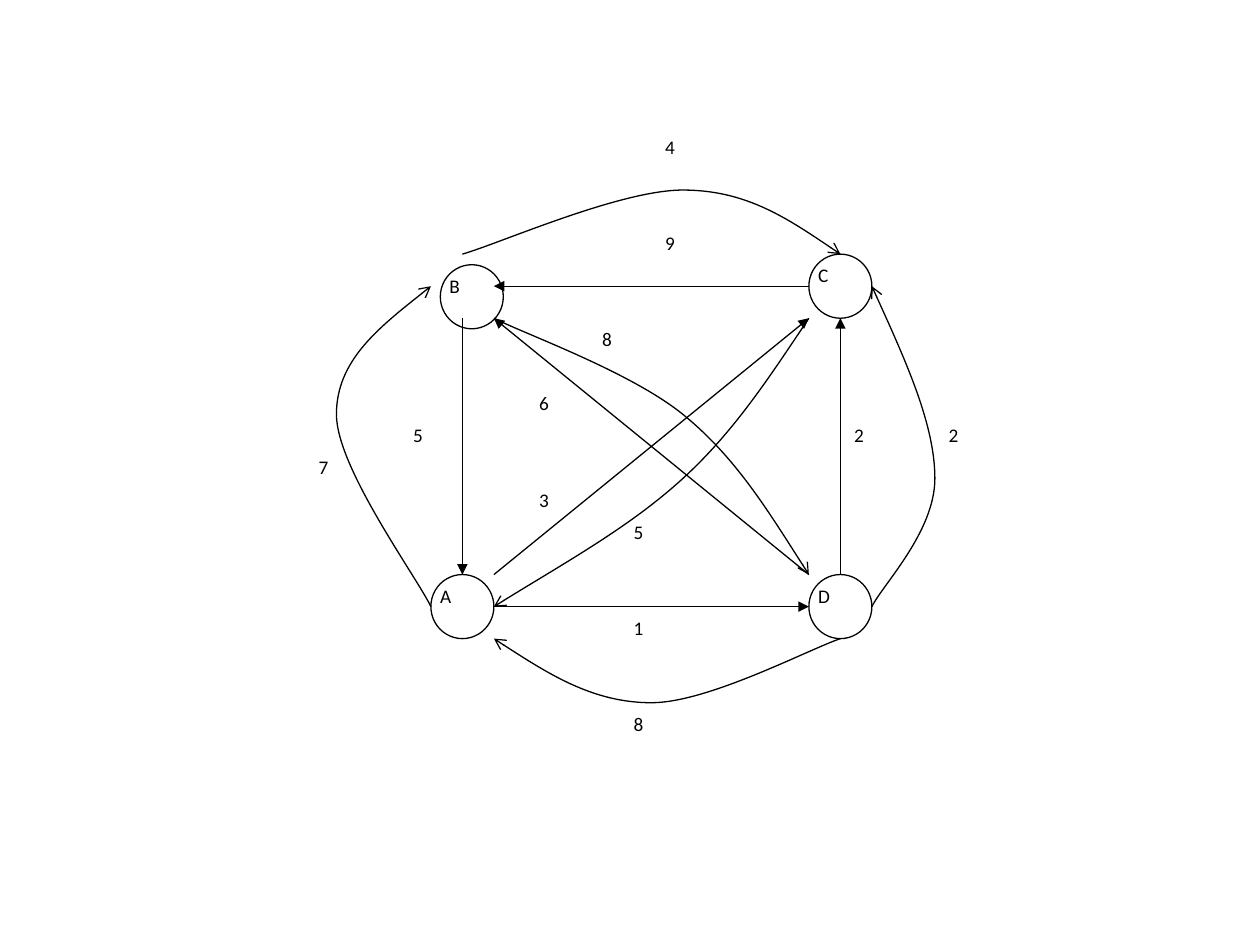
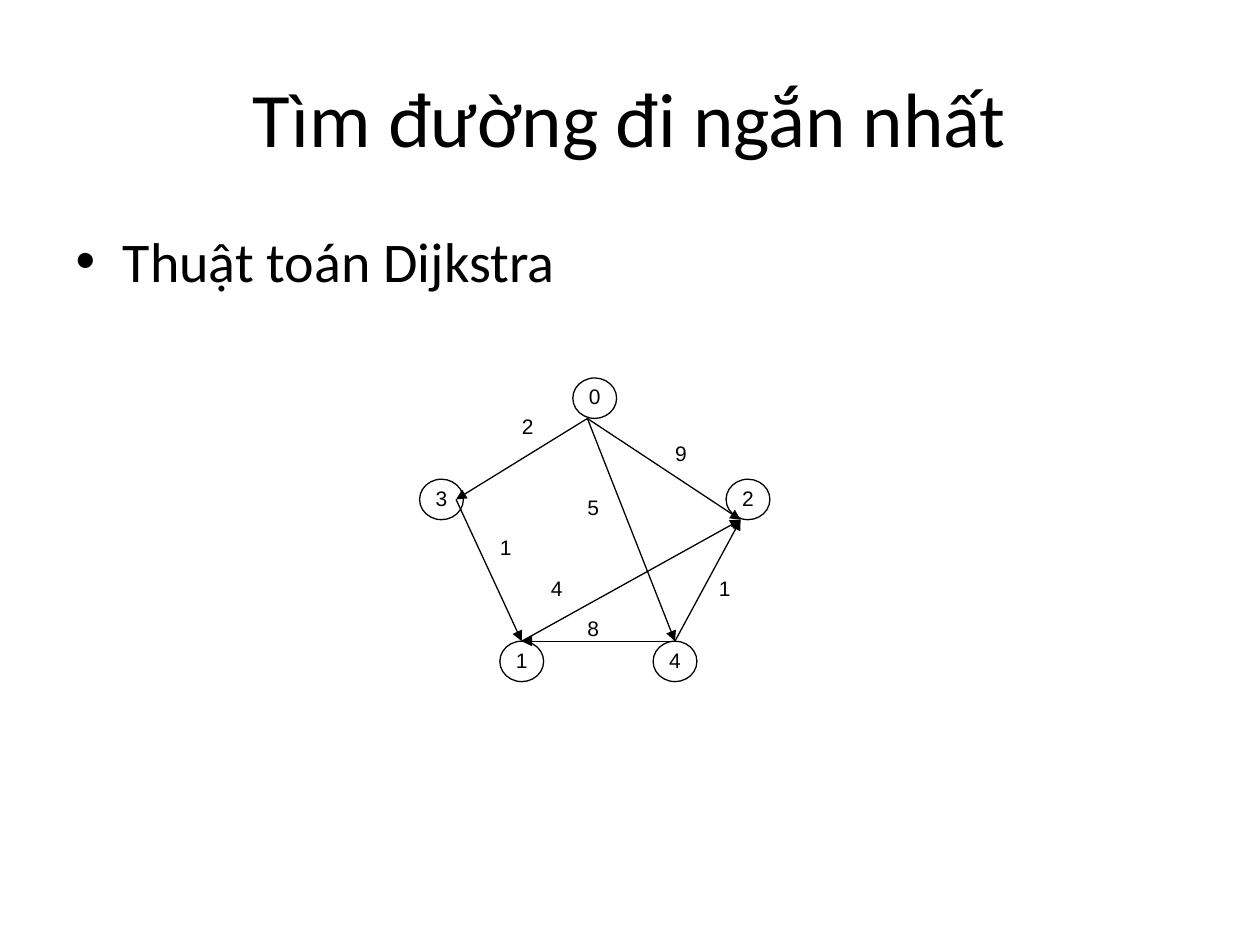
from lxml import etree
from pptx import Presentation
from pptx.dml.color import RGBColor
from pptx.enum import shapes, text
from pptx.oxml import ns
from pptx.util import Pt

COLORS = {"ink": "000000", "paper": "FFFFFF"}
LINE_WIDTH = 0.75

TITLE = "Tìm đường đi ngắn nhất"
BULLETS = ["Thuật toán Dijkstra"]

# All graph places below are (column, row) steps on the grid of that graph.
FOUR_NODE_GRAPH = {
    "origin": (174.24, 72), "step": (18, 18.31),
    "font": ("Calibri", 11), "space_after": 10,
    "node_size": (2, 2), "node_align": text.PP_ALIGN.LEFT,
    "label_size": (3, 2), "label_insets": (0, 0),
    "nodes": [("A", 4, 14), ("B", 4.3, 4.33), ("C", 16, 4), ("D", 16, 14)],
    "arrows": [
        ((16, 5), (6, 5)),
        ((5, 6), (5, 14)),
        ((6, 15), (16, 15)),
        ((17, 14), (17, 6)),
        ((6, 14), (16, 6)),
        ((16, 14), (6, 6)),
    ],
    "curves": [
        [(5, 4), (6.2, 3.66), (10, 2), (12, 2), (14, 2), (15.5, 3), (17, 4)],
        [(4, 15), (3.5, 14), (1, 10.65), (1, 9), (1, 7.33), (2.5, 6.17), (4, 5)],
        [(17, 16), (16, 16.33), (12.8, 18), (11, 18), (9.16, 18), (7.56, 17), (6, 16)],
        [(18, 15), (18.33, 14.33), (20, 12.67), (20, 11), (20, 9.33), (19, 7.17), (18, 5)],
        [(6, 6), (7, 6.5), (10.33, 7.67), (12, 9), (13.67, 10.33), (14.8, 12.17), (16, 14)],
        [(16, 6), (14.8, 7.75), (13.67, 9.5), (12, 11), (10.33, 12.5), (8.17, 13.67), (6, 15)],
    ],
    "labels": [
        ("9", 11, 3), ("4", 11, 0), ("2", 17, 9), ("2", 20, 9),
        ("1", 10, 15), ("8", 10, 18), ("5", 3, 9), ("7", 0, 10),
        ("6", 7, 8), ("8", 9, 6), ("3", 7, 11), ("5", 10, 12),
    ],
}

FIVE_NODE_GRAPH = {
    "origin": (239.76, 216), "step": (4.17, 11.57),
    "font": ("Arial", 12), "space_after": 0,
    "node_size": (6, 2), "node_align": text.PP_ALIGN.CENTER,
    "label_size": (9, 3), "label_insets": (7.2, 3.6),
    "nodes": [("2", 42, 5), ("0", 21, 0), ("1", 11, 13), ("3", 0, 5), ("4", 32, 13)],
    "arrows": [
        ((23, 2), (5, 6)),
        ((23, 2), (35, 13)),
        ((23, 2), (44, 7)),
        ((5, 6), (14, 13)),
        ((35, 13), (14, 13)),
        ((35, 13), (44, 7)),
        ((14, 13), (44, 7)),
    ],
    "curves": [],
    "labels": [
        ("2", 11, 1), ("5", 20, 5), ("9", 32, 2.36), ("1", 8, 7),
        ("4", 15, 9), ("8", 20, 11), ("1", 38, 9),
    ],
}


def color(name):
    return RGBColor.from_string(COLORS[name])


def format_runs(paragraph, font_name, size):
    for run in paragraph.runs:
        run.font.name = font_name
        run.font.size = Pt(size)
        run.font.color.rgb = color("ink")


def grid_point(graph, column, row):
    return tuple(
        Pt(round(start + step * count, 2))
        for start, step, count in zip(graph["origin"], graph["step"], (column, row))
    )


def draw_line(shape):
    shape.line.color.rgb = color("ink")
    shape.line.width = Pt(LINE_WIDTH)


def add_arrowhead(shape, kind):
    line = shape.element.spPr.find(ns.qn("a:ln"))
    etree.SubElement(line, ns.qn("a:tailEnd"), type=kind)


def add_ellipse(group, graph, caption, place, size, insets, align):
    width, height = (Pt(step * count) for step, count in zip(graph["step"], size))
    ellipse = group.shapes.add_shape(
        shapes.MSO_SHAPE.OVAL, *grid_point(graph, *place), width, height)
    ellipse.shadow.inherit = False
    frame = ellipse.text_frame
    frame.text = caption
    frame.word_wrap = True
    frame.vertical_anchor = text.MSO_ANCHOR.TOP
    frame.margin_left = frame.margin_right = Pt(insets[0])
    frame.margin_top = frame.margin_bottom = Pt(insets[1])
    paragraph = frame.paragraphs[0]
    paragraph.alignment = align
    paragraph.space_after = Pt(graph["space_after"])
    format_runs(paragraph, *graph["font"])
    return ellipse


def add_node(group, graph, caption, column, row):
    node = add_ellipse(group, graph, caption, (column, row),
                       graph["node_size"], (0, 0), graph["node_align"])
    node.fill.solid()
    node.fill.fore_color.rgb = color("paper")
    draw_line(node)


def add_label(group, graph, caption, column, row):
    label = add_ellipse(group, graph, caption, (column, row), graph["label_size"],
                        graph["label_insets"], text.PP_ALIGN.LEFT)
    label.fill.background()
    label.line.fill.background()


def add_arrow(group, graph, start, end):
    arrow = group.shapes.add_connector(
        shapes.MSO_CONNECTOR.STRAIGHT,
        *grid_point(graph, *start), *grid_point(graph, *end))
    draw_line(arrow)
    add_arrowhead(arrow, "triangle")
    etree.SubElement(arrow.element.spPr, ns.qn("a:effectLst"))


def add_curve(group, graph, controls):
    start, *others = [grid_point(graph, *control) for control in controls]
    builder = group.shapes.build_freeform(*start)
    builder.add_line_segments(others, close=False)
    curve = builder.convert_to_shape()
    curve.shadow.inherit = False
    curve.fill.background()
    draw_line(curve)
    add_arrowhead(curve, "arrow")
    outline = next(curve.element.iter(ns.qn("a:path")))
    segments = outline.findall(ns.qn("a:lnTo"))
    for first in range(0, len(segments), 3):
        bezier = etree.SubElement(outline, ns.qn("a:cubicBezTo"))
        for segment in segments[first:first + 3]:
            bezier.append(segment[0])
            outline.remove(segment)


def add_graph(slide, graph):
    group = slide.shapes.add_group_shape()
    for node in graph["nodes"]:
        add_node(group, graph, *node)
    for arrow in graph["arrows"]:
        add_arrow(group, graph, *arrow)
    for curve in graph["curves"]:
        add_curve(group, graph, curve)
    for label in graph["labels"]:
        add_label(group, graph, *label)


def place(shape, left, top, width, height):
    shape.left, shape.top = Pt(left), Pt(top)
    shape.width, shape.height = Pt(width), Pt(height)


def add_heading(slide):
    title, body = slide.shapes.title, slide.placeholders[1]
    place(title, 36, 21.6, 648, 90)
    title.text_frame.text = TITLE
    title.text_frame.vertical_anchor = text.MSO_ANCHOR.MIDDLE
    title.text_frame.paragraphs[0].alignment = text.PP_ALIGN.CENTER
    format_runs(title.text_frame.paragraphs[0], "Calibri", 44)
    place(body, 36, 126, 648, 356.4)
    body.text_frame.text = "\n".join(BULLETS)
    for paragraph in body.text_frame.paragraphs:
        paragraph.space_before = Pt(8)
        format_runs(paragraph, "Calibri", 32)


def main():
    presentation = Presentation()
    presentation.slide_width, presentation.slide_height = Pt(720), Pt(540)
    layouts = presentation.slide_layouts
    add_graph(presentation.slides.add_slide(layouts[6]), FOUR_NODE_GRAPH)
    slide = presentation.slides.add_slide(layouts[1])
    add_heading(slide)
    add_graph(slide, FIVE_NODE_GRAPH)
    presentation.save("out.pptx")


if __name__ == "__main__":
    main()
